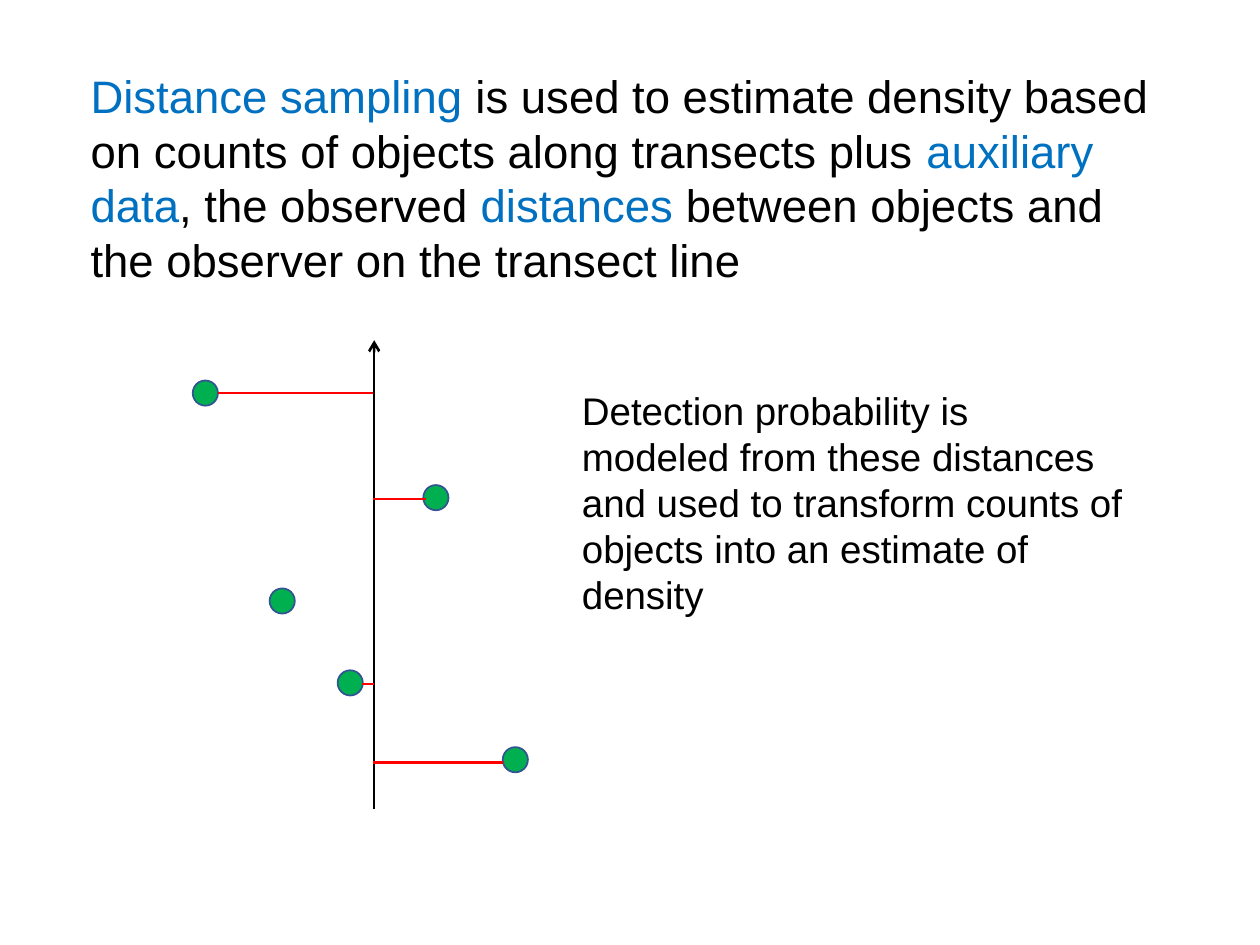
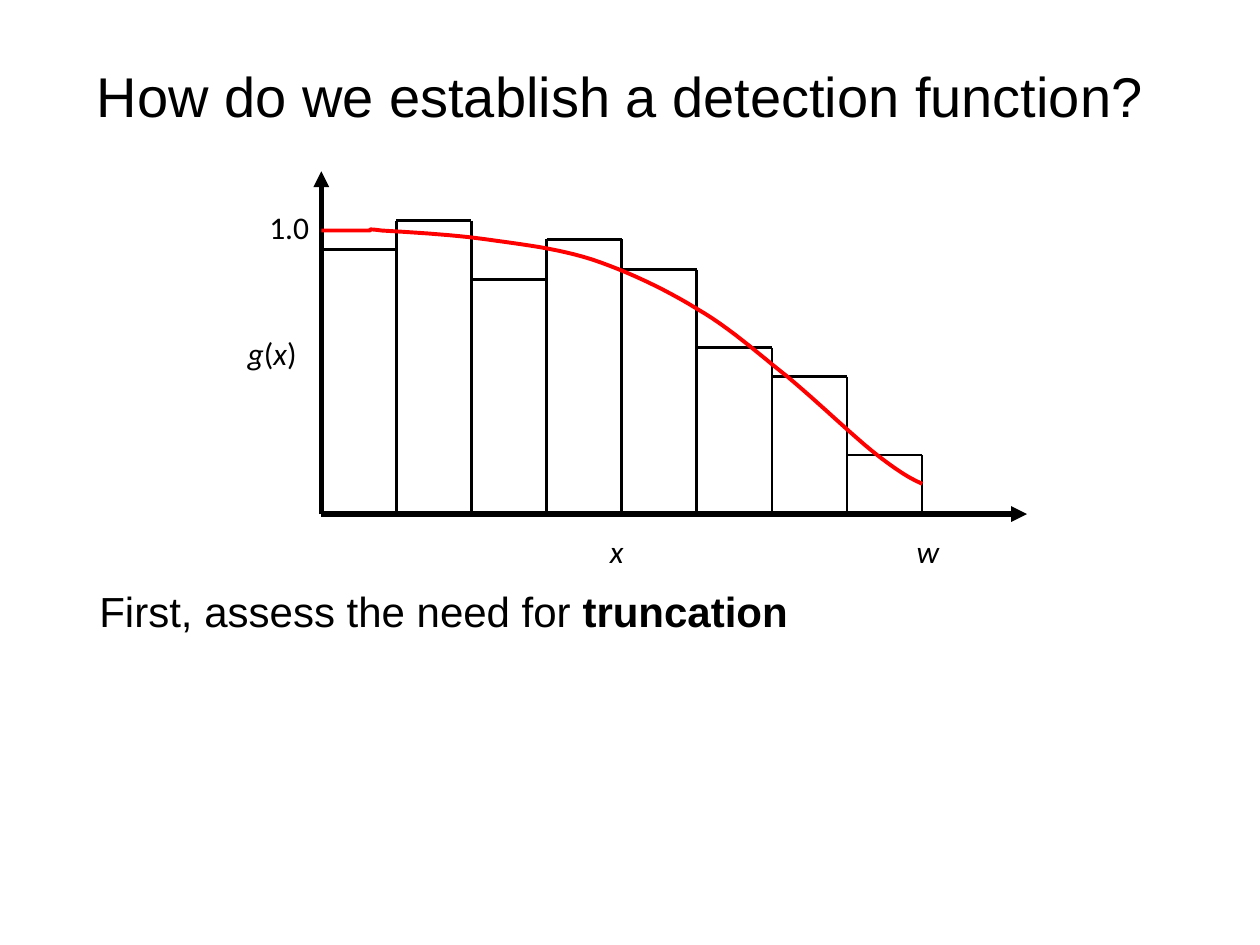
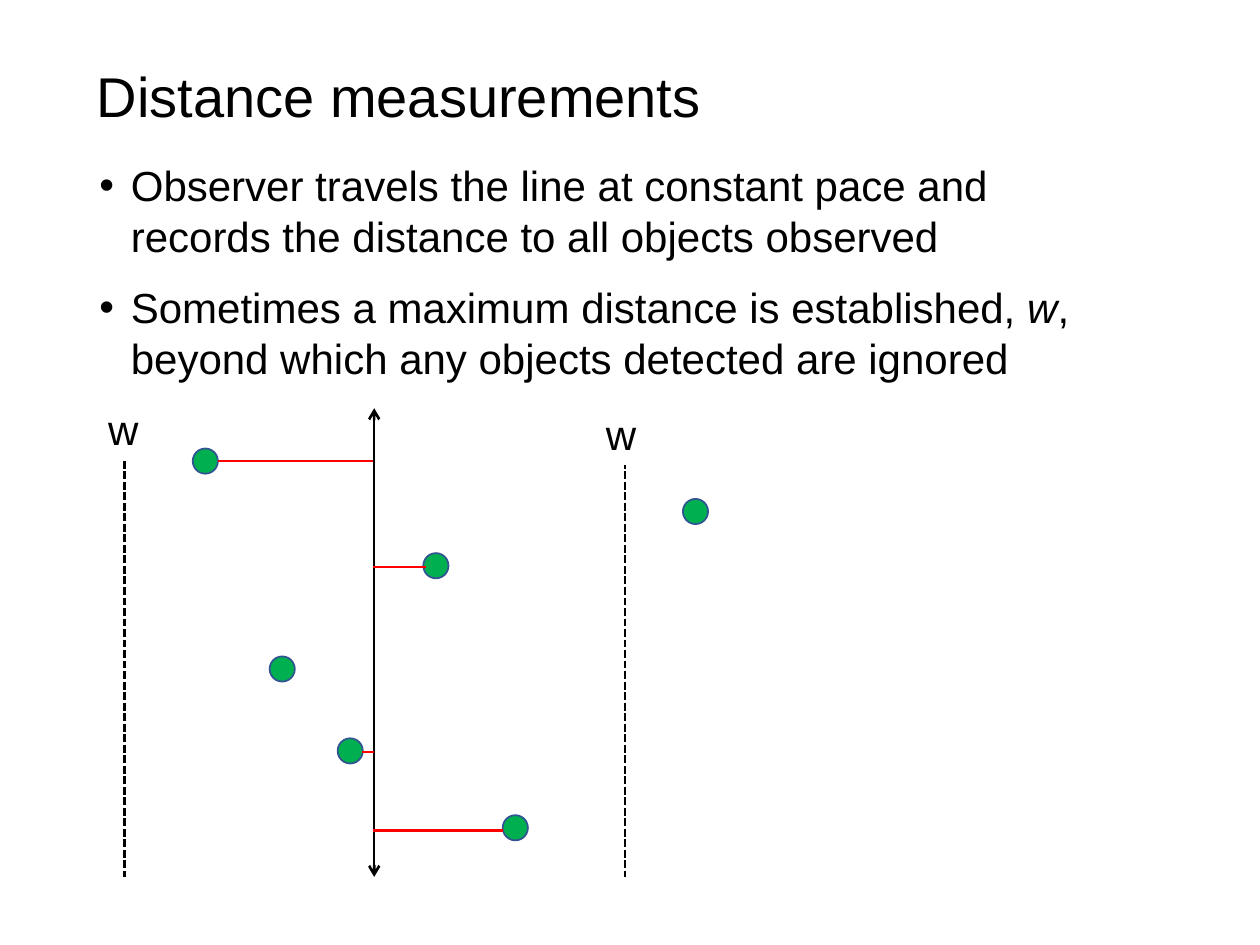
from lxml import etree
from pptx import Presentation
from pptx.dml.color import RGBColor
from pptx.enum import dml, shapes, text
from pptx.oxml import ns
from pptx.util import Pt

PX = 9144  # EMU per px, 100 px to the inch

BLACK = RGBColor(0x00, 0x00, 0x00)
WHITE = RGBColor(0xFF, 0xFF, 0xFF)
BLUE = RGBColor(0x00, 0x70, 0xC0)
RED = RGBColor(0xFF, 0x00, 0x00)
GREEN = RGBColor(0x00, 0xB0, 0x50)
DOT_EDGE = RGBColor(0x32, 0x54, 0x91)

BODY = {"name": "Arial", "color": BLACK}
LABEL = {"name": "Calibri", "size": Pt(18), "color": BLACK}
ITALIC = {"italic": True}
KEYWORD = {"color": BLUE}
PROSE = {"space_after": Pt(12)}
CENTRED = {"alignment": text.PP_ALIGN.CENTER}

TRANSECT_X = 297
TRANSECT_LENGTH = 372
DOT_SIZE = 20
# Left and top of each object, measured from the top of the transect
OBJECTS = [(153, 32), (336, 115), (214, 197), (399, 323), (268, 262)]
# Start, end and height of each measured distance
DISTANCES = [(173, 296, 42), (296, 338, 126), (287, 297, 273), (296, 399, 335)]

AXIS_LEFT, AXIS_BOTTOM = 255, 408
BIN_WIDTH = 59.6
BIN_TOPS = [198, 175, 222, 190, 214, 276, 299, 361]
# Start point, then two control points and an end point per cubic piece
DETECTION_START = (255, 183)
DETECTION_CURVE = [
    ((269, 183), (283, 183), (291, 183)),
    ((299, 183), (287, 181), (303, 183)),
    ((319, 184), (358, 186), (386, 190)),
    ((414, 194), (442, 197), (470, 206)),
    ((497, 215), (527, 229), (553, 245)),
    ((579, 260), (601, 280), (625, 299)),
    ((648, 318), (678, 347), (696, 361)),
    ((714, 375), (723, 380), (732, 384)),
]


def emu(*lengths):
    return [round(length * PX) for length in lengths]


def add_span(para, content, font_format):
    span = para.add_run()
    span.text = content
    for key, value in font_format.items():
        if key == "color":
            span.font.color.rgb = value
        else:
            setattr(span.font, key, value)


def add_text(page, at, paragraphs, font, layout, wrap=True, grow=True, bullet=False):
    """Each paragraph is a list of (content, font changes) pairs."""
    box = page.shapes.add_textbox(*emu(*at))
    frame = box.text_frame
    frame.word_wrap = wrap
    if grow:
        frame.auto_size = text.MSO_AUTO_SIZE.SHAPE_TO_FIT_TEXT
    for index, spans in enumerate(paragraphs):
        para = frame.add_paragraph() if index else frame.paragraphs[0]
        for key, value in layout.items():
            setattr(para, key, value)
        if bullet:
            add_bullet(para)
        for content, changes in spans:
            add_span(para, content, {**font, **changes})
    return box


def add_bullet(para):
    properties = para._p.get_or_add_pPr()
    indent, = emu(25)
    properties.set("marL", str(indent))
    properties.set("indent", str(-indent))
    etree.SubElement(properties, ns.qn("a:buFont"), typeface="Arial")
    etree.SubElement(properties, ns.qn("a:buChar"), char="•")


def add_title(page, content):
    add_text(page, (67, 44, 869, 64), [[(content, {})]], {**BODY, "size": Pt(32)}, PROSE)


def add_label(page, at, spans):
    add_text(page, at, [spans], LABEL, CENTRED, grow=False)


def add_line(page, start, end, color=BLACK, width=1.5, head=None, tail=None, dash=None):
    line = page.shapes.add_connector(
        shapes.MSO_CONNECTOR.STRAIGHT, *emu(*start, *end))
    line.line.color.rgb = color
    line.line.width = Pt(width)
    if dash:
        line.line.dash_style = dash
    outline = line.line._get_or_add_ln()
    for tag, kind in (("a:headEnd", head), ("a:tailEnd", tail)):
        if kind:
            etree.SubElement(outline, ns.qn(tag), type=kind)
    etree.SubElement(line._element.spPr, ns.qn("a:effectLst"))


def add_dot(page, left, top):
    dot = page.shapes.add_shape(
        shapes.MSO_SHAPE.OVAL, *emu(left, top, DOT_SIZE, DOT_SIZE))
    dot.shadow.inherit = False
    dot.fill.solid()
    dot.fill.fore_color.rgb = GREEN
    dot.line.color.rgb = DOT_EDGE
    dot.line.width = Pt(1)


def add_transect(page, top, tail=None):
    add_line(page, (TRANSECT_X, top), (TRANSECT_X, top + TRANSECT_LENGTH),
             head="arrow", tail=tail)
    for left, drop in OBJECTS:
        add_dot(page, left, top + drop)
    for start, end, drop in DISTANCES:
        add_line(page, (start, top + drop), (end, top + drop), RED)


def add_histogram(page):
    # A bin's right side reaches the taller of its two neighbours
    for index, top in enumerate(BIN_TOPS):
        left = AXIS_LEFT + index * BIN_WIDTH
        right = left + BIN_WIDTH
        add_line(page, (left, top), (right, top))
        add_line(page, (right, min(BIN_TOPS[index:index + 2])), (right, AXIS_BOTTOM))


def curve_points(start, pieces, steps=12):
    for first, second, end in pieces:
        for step in range(1, steps + 1):
            t = step / steps
            weights = ((1 - t) ** 3, 3 * t * (1 - t) ** 2, 3 * t * t * (1 - t), t ** 3)
            controls = zip(start, first, second, end)
            yield emu(*(sum(w * c for w, c in zip(weights, axis)) for axis in controls))
        start = end


def add_detection_curve(page):
    builder = page.shapes.build_freeform(*emu(*DETECTION_START))
    builder.add_line_segments(curve_points(DETECTION_START, DETECTION_CURVE), close=False)
    curve = builder.convert_to_shape()
    curve.shadow.inherit = False
    curve.fill.background()
    curve.line.color.rgb = RED
    curve.line.width = Pt(2.25)


def add_limit(page, x, label_left, label_top):
    """Dashed truncation line with its w label."""
    add_line(page, (x, 324), (x, 324 + TRANSECT_LENGTH),
             dash=dml.MSO_LINE.SQUARE_DOT)
    label = add_text(page, (label_left, label_top, 44, 50), [[("w", {})]],
                     {**BODY, "size": Pt(24)}, {}, wrap=False)
    label.fill.solid()
    label.fill.fore_color.rgb = WHITE


def build_sampling(page):
    add_text(page, (62, 49, 869, 185), [[
        ("Distance sampling", KEYWORD),
        (" is used to estimate density based on counts of objects along transects plus ", {}),
        ("auxiliary data", KEYWORD),
        (", the observed ", {}),
        ("distances", KEYWORD),
        (" between objects and the observer on the transect line", {}),
    ]], {**BODY, "size": Pt(26)}, PROSE)
    add_transect(page, 270)
    add_text(page, (452, 302, 451, 158), [[
        ("Detection probability is modeled from these distances and used to "
         "transform counts of objects into an estimate of density", {}),
    ]], {**BODY, "size": Pt(22)}, {})


def build_detection(page):
    add_title(page, "How do we establish a detection function?")
    add_label(page, (174, 260, 84, 38),
              [("g", ITALIC), ("(", {}), ("x", ITALIC), (")", {})])
    for end in ((815, AXIS_BOTTOM), (AXIS_LEFT, 136)):
        add_line(page, (AXIS_LEFT, AXIS_BOTTOM), end, width=3, tail="triangle")
    add_histogram(page)
    add_detection_curve(page)
    add_label(page, (280, 417, 419, 37), [("x", ITALIC)])
    add_label(page, (716, 417, 41, 37), [("w", ITALIC)])
    add_label(page, (200, 160, 59, 38), [("1.0", {})])
    add_text(page, (69, 460, 865, 50), [[
        ("First, assess the need for ", {}), ("truncation", {"bold": True}),
    ]], {**BODY, "size": Pt(24)}, PROSE)


def build_measurements(page):
    add_title(page, "Distance measurements")
    add_text(page, (69, 122, 845, 188), [
        [("Observer travels the line at constant pace and records the distance "
          "to all objects observed", {})],
        [("Sometimes a maximum distance is established, ", {}), ("w", ITALIC),
         (", beyond which any objects detected are ignored", {})],
    ], {**BODY, "size": Pt(24)}, PROSE, bullet=True)
    add_transect(page, 324, tail="arrow")
    add_limit(page, 99, 76, 315)
    add_limit(page, 496, 471, 319)
    add_dot(page, 542, 396)  # object beyond the limit


def main():
    deck = Presentation()
    deck.slide_width, deck.slide_height = emu(1000, 750)
    for build in (build_sampling, build_detection, build_measurements):
        build(deck.slides.add_slide(deck.slide_layouts[6]))
    deck.save("out.pptx")


if __name__ == "__main__":
    main()
